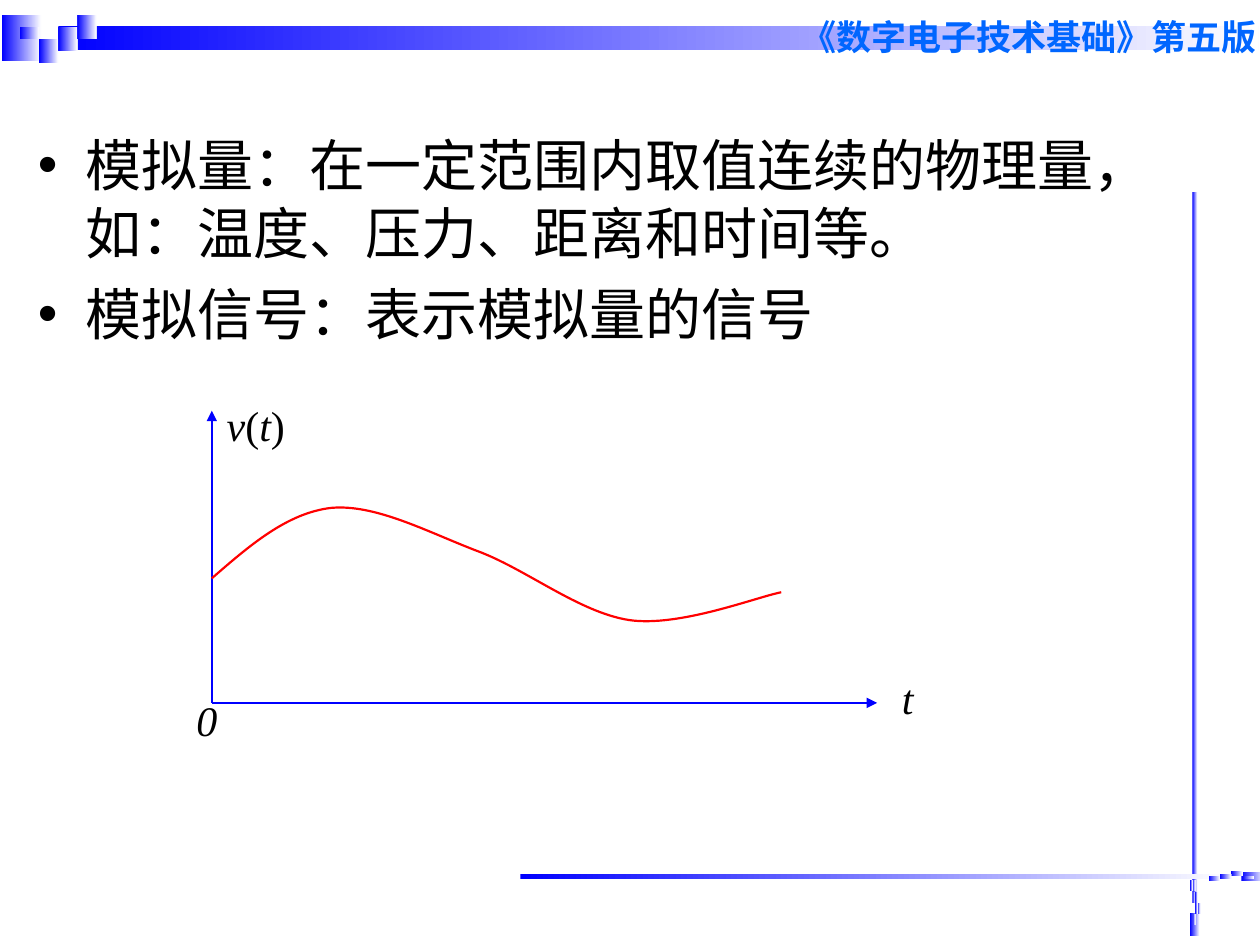
from dataclasses import dataclass
from math import cos, radians, sin

from lxml import etree
from pptx import Presentation
from pptx import util as u
from pptx.dml.color import RGBColor
from pptx.enum import shapes, text
from pptx.oxml import ns


@dataclass(frozen=True)
class Theme:
    blue: RGBColor = RGBColor(0x00, 0x00, 0xFF)
    white: RGBColor = RGBColor(0xFF, 0xFF, 0xFF)
    black: RGBColor = RGBColor(0x00, 0x00, 0x00)
    red: RGBColor = RGBColor(0xFF, 0x00, 0x00)
    heading: RGBColor = RGBColor(0x00, 0x66, 0xFF)
    heading_font: str = "Arial"
    body_font: str = "Times New Roman"
    heading_size: int = 20
    body_size: int = 32
    label_size: int = 24
    stroke: float = 1.25


THEME = Theme()

# Ornament parts in cell units: centre column, centre row, columns, rows
BAR_COLUMNS, BAR_ROWS = 63, 2
BLOCK = (-0.42, 1.4, 2.05, 3.8)
BAR = (1.5 + BAR_COLUMNS / 2, 1.4, BAR_COLUMNS, BAR_ROWS)
CELLS = [(2, 1), (3, 0), (3, 1), (1, 2), (0, 1), (2, 2), (1, 3)]


def style(run, size, color, font, bold=False, italic=False):
    run.font.size = u.Pt(size)
    run.font.name = font
    run.font.color.rgb = color
    run.font.bold = bold
    run.font.italic = italic


def add_ornament(slide, left, top, bar_length, bar_width, turn):
    """Block, bar and cells, turned about the centre of the first cell."""
    column, row = bar_length / BAR_COLUMNS, bar_width / BAR_ROWS
    cosine, sine = cos(radians(turn)), sin(radians(turn))
    for col, line, columns, rows in [BLOCK, BAR] + [(*c, 1, 1) for c in CELLS]:
        dx, dy = col * column, line * row
        width, height = columns * column, rows * row
        part = slide.shapes.add_shape(
            shapes.MSO_SHAPE.RECTANGLE,
            u.Cm(left + dx * cosine - dy * sine - width / 2),
            u.Cm(top + dx * sine + dy * cosine - height / 2),
            u.Cm(width), u.Cm(height))
        part.rotation = turn
        part.shadow.inherit = False
        part.line.fill.background()
        part.fill.gradient()
        part.fill.gradient_angle = 0
        for stop, color in zip(part.fill.gradient_stops, (THEME.blue, THEME.white)):
            stop.color.rgb = color
        # The gradient runs left to right whatever the turn
        part._element.spPr.find(ns.qn("a:gradFill")).set("rotWithShape", "0")


def add_book_heading(slide, left, top, width, height):
    heading = slide.shapes.add_textbox(u.Cm(left), u.Cm(top), u.Cm(width), u.Cm(height))
    heading.text_frame.word_wrap = True
    heading.text_frame.text = "《数字电子技术基础》第五版"
    style(heading.text_frame.paragraphs[0].runs[0], THEME.heading_size,
          THEME.heading, THEME.heading_font, bold=True)


def add_definitions(slide, left, top, width, height):
    body = slide.placeholders[1]
    body.left, body.top = u.Cm(left), u.Cm(top)
    body.width, body.height = u.Cm(width), u.Cm(height)
    frame = body.text_frame
    frame.auto_size = text.MSO_AUTO_SIZE.NONE
    frame.text = ("模拟量：在一定范围内取值连续的物理量，如：温度、压力、距离和时间等。\n"
                  "模拟信号：表示模拟量的信号")
    for index, definition in enumerate(frame.paragraphs):
        definition.space_before = u.Pt(8 if index else 0)
        properties = definition._p.get_or_add_pPr()
        properties.set("marL", str(u.Cm(0.95)))
        properties.set("indent", str(u.Cm(-0.95)))
        etree.SubElement(properties, ns.qn("a:buChar")).set("char", "•")
        style(definition.runs[0], THEME.body_size, THEME.black, THEME.body_font)


def add_axis(slide, start, end):
    axis = slide.shapes.add_connector(
        shapes.MSO_CONNECTOR.STRAIGHT, *(u.Cm(v) for v in (*start, *end)))
    axis.line.color.rgb = THEME.blue
    axis.line.width = u.Pt(THEME.stroke)
    etree.SubElement(axis.line._get_or_add_ln(), ns.qn("a:tailEnd")).set("type", "triangle")
    etree.SubElement(axis._element.spPr, ns.qn("a:effectLst"))


def add_curve(slide, points):
    """Smooth curve: a start, then two controls and an end per segment."""
    start, *rest = [(u.Cm(x), u.Cm(y)) for x, y in points]
    builder = slide.shapes.build_freeform(*start)
    builder.add_line_segments(rest, close=False)
    curve = builder.convert_to_shape()
    curve.shadow.inherit = False
    curve.fill.background()
    curve.line.color.rgb = THEME.red
    curve.line.width = u.Pt(THEME.stroke)
    # Join each three straight steps into one Bezier segment
    outline = next(curve._element.iter(ns.qn("a:path")))
    steps = outline.findall(ns.qn("a:lnTo"))
    for first in range(0, len(steps), 3):
        bezier = etree.SubElement(outline, ns.qn("a:cubicBezTo"))
        for step in steps[first:first + 3]:
            bezier.append(step[0])
            outline.remove(step)


def add_label(slide, left, top, width, symbols):
    label = slide.shapes.add_textbox(u.Cm(left), u.Cm(top), u.Cm(width), u.Cm(1.27))
    label.text_frame.word_wrap = False
    line = label.text_frame.paragraphs[0]
    for symbol in symbols:
        run = line.add_run()
        run.text = symbol
        style(run, THEME.label_size, THEME.black, THEME.body_font,
              italic=symbol not in "()")


def add_signal_graph(slide, left, top, width, height):
    """Graph of v(t); the box spans the two axes."""
    origin = (left, top + height)
    add_axis(slide, origin, (left + width, top + height))
    add_axis(slide, origin, (left, top))
    signal = [(0, 3.38), (0.76, 2.72), (1.52, 2.06), (2.41, 1.96),
              (3.3, 1.88), (4.34, 2.44), (5.33, 2.82),
              (6.32, 3.18), (7.39, 4.06), (8.41, 4.22),
              (9.42, 4.37), (10.97, 3.76), (11.48, 3.66)]
    add_curve(slide, [(left + x, top + y) for x, y in signal])
    add_label(slide, left + width + 0.25, top + height - 0.74, 0.74, "t")
    add_label(slide, left + 0.05, top - 0.36, 1.68, "v(t)")
    add_label(slide, left - 0.56, top + height - 0.3, 0.91, "0")


def main():
    deck = Presentation()
    deck.slide_width, deck.slide_height = u.Cm(25.4), u.Cm(19.05)
    slide = deck.slides.add_slide(deck.slide_layouts[1])
    title = slide.shapes.title
    title._element.getparent().remove(title._element)

    # Corner ornaments: top, right and bottom
    add_ornament(slide, 0.6, 0.43, 24.2, 0.48, 0)
    add_ornament(slide, 24.02, 18.54, 14.33, 0.1, 270)
    add_ornament(slide, 25.16, 17.74, 14.33, 0.1, 180)

    # Content
    add_book_heading(slide, 15.9, 0.18, 10.31, 1.12)
    add_definitions(slide, 0.51, 2.51, 22.61, 11.61)
    add_signal_graph(slide, 4.27, 8.28, 13.41, 5.89)
    deck.save("out.pptx")


if __name__ == "__main__":
    main()
